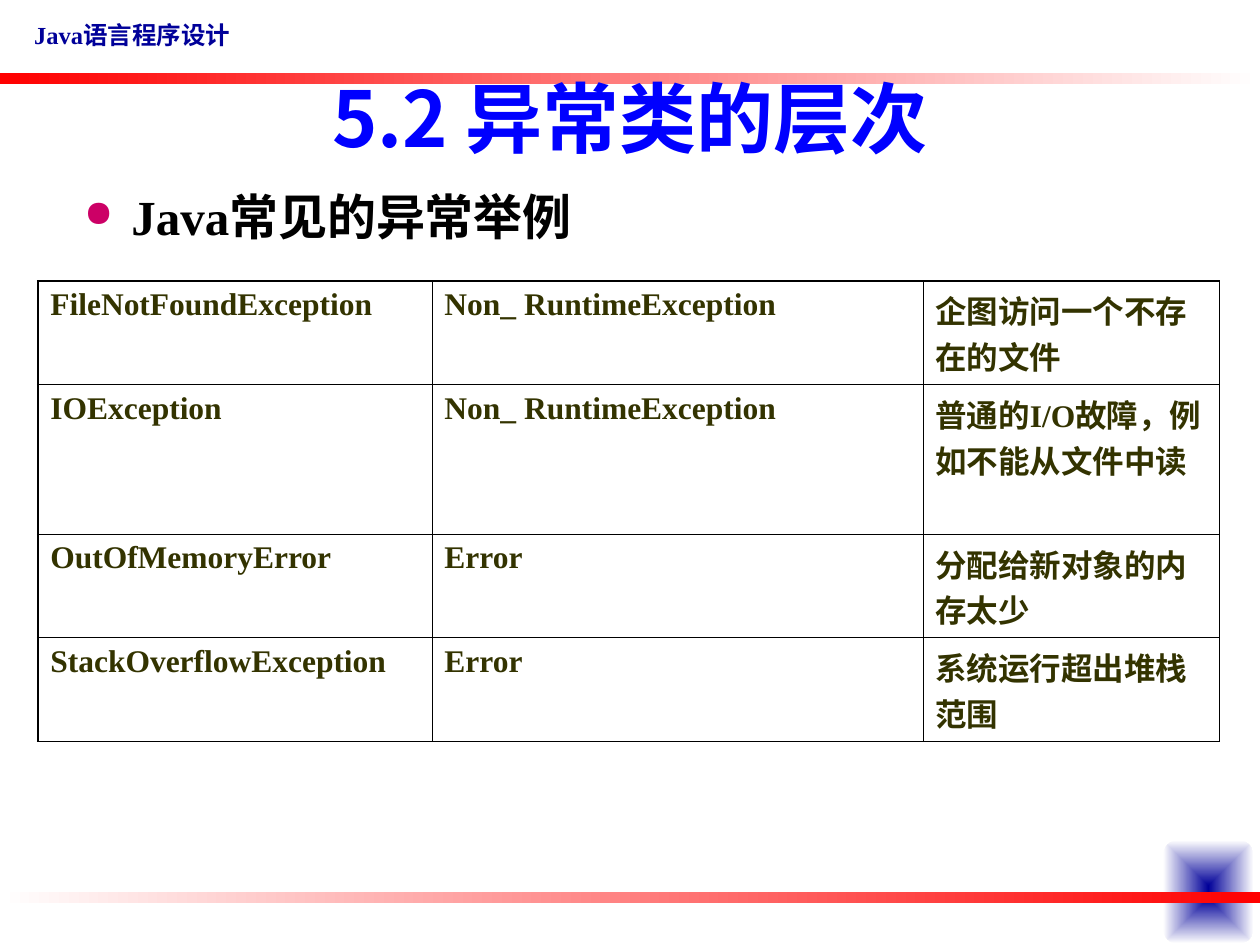
from lxml.etree import SubElement
from pptx import Presentation
from pptx.dml.color import RGBColor
from pptx.enum.shapes import MSO_SHAPE
from pptx.enum.text import MSO_ANCHOR, MSO_AUTO_SIZE, PP_ALIGN
from pptx.oxml import parse_xml
from pptx.oxml.ns import nsdecls, qn
from pptx.util import Pt

BLACK = RGBColor(0x00, 0x00, 0x00)
WHITE = RGBColor(0xFF, 0xFF, 0xFF)
NAVY = RGBColor(0x00, 0x00, 0x99)
BLUE = RGBColor(0x00, 0x00, 0xFF)
RED = RGBColor(0xFF, 0x00, 0x00)
PINK = RGBColor(0xCC, 0x00, 0x66)
OLIVE = RGBColor(0x33, 0x33, 0x00)

SERIF = "Times New Roman"
SANS = "Noto Sans CJK SC"

COLS = [225.2, 280.6, 169.5]
ROWS = [
    (59.2, "FileNotFoundException", "Non_ RuntimeException", "企图访问一个不存在的文件"),
    (85.5, "IOException", "Non_ RuntimeException", "普通的I/O故障，例如不能从文件中读"),
    (59.2, "OutOfMemoryError", "Error", "分配给新对象的内存太少"),
    (59.2, "StackOverflowException", "Error", "系统运行超出堆栈范围"),
]


def add_run(para, text, size, color, face=SERIF):
    run = para.add_run()
    run.text = text
    font = run.font
    font.size = Pt(size)
    font.bold = True
    font.name = face
    font.color.rgb = color
    SubElement(run._r.get_or_add_rPr(), qn("a:ea"), typeface=SANS)


def add_box(slide, box, wrap=True):
    frame = slide.shapes.add_textbox(*map(Pt, box)).text_frame
    frame.word_wrap = wrap
    return frame


def add_block(slide, kind, box):
    block = slide.shapes.add_shape(kind, *map(Pt, box))
    block.shadow.inherit = False
    block.line.fill.background()
    return block


def blend(block, start, end):
    fill = block.fill
    fill.gradient()
    fill.gradient_angle = 0
    for stop, color in zip(fill.gradient_stops, (start, end)):
        stop.color.rgb = color


def add_badge(slide, box):
    badge = add_block(slide, MSO_SHAPE.ROUNDED_RECTANGLE, box)
    blend(badge, NAVY, WHITE)
    grad = badge._element.spPr.find(qn("a:gradFill"))
    grad.replace(grad.find(qn("a:lin")), parse_xml(
        f'<a:path {nsdecls("a")} path="rect">'
        '<a:fillToRect l="50000" t="50000" r="50000" b="50000"/></a:path>'))


def add_header(slide, box):
    left, top, wide, high = box
    panel = add_block(slide, MSO_SHAPE.RECTANGLE, box)
    panel.fill.solid()
    panel.fill.fore_color.rgb = WHITE
    frame = add_box(slide, (left + 7.4, top + 2.9, 133.2, 24.5), False)
    frame.auto_size = MSO_AUTO_SIZE.SHAPE_TO_FIT_TEXT
    add_run(frame.paragraphs[0], "Java语言程序设计", 14, NAVY)


def add_bar(slide, box, start, end):
    blend(add_block(slide, MSO_SHAPE.RECTANGLE, box), start, end)


def add_title(slide, box):
    frame = add_box(slide, box)
    frame.vertical_anchor = MSO_ANCHOR.MIDDLE
    para = frame.paragraphs[0]
    para.alignment = PP_ALIGN.CENTER
    add_run(para, "5.2 异常类的层次", 44, BLUE, SANS)


def add_body(slide, box):
    para = add_box(slide, box).paragraphs[0]
    props = para._p.get_or_add_pPr()
    props.set("marL", str(Pt(27)))
    props.set("indent", str(-Pt(27)))
    SubElement(SubElement(props, qn("a:buClr")), qn("a:srgbClr"), val=str(PINK))
    SubElement(props, qn("a:buSzPct"), val="75000")
    SubElement(props, qn("a:buChar"), char="●")
    add_run(para, "Java常见的异常举例", 28, BLACK)


def add_edges(cell, row, col):
    outer = {"L": col == 0, "R": col == len(COLS) - 1,
             "T": row == 0, "B": row == len(ROWS) - 1}
    props = cell._tc.get_or_add_tcPr()
    for spot, (side, edge) in enumerate(outer.items()):
        width = Pt(1.08 if edge else 0.45)
        props.insert(spot, parse_xml(
            f'<a:ln{side} {nsdecls("a")} w="{width}"><a:solidFill>'
            f'<a:srgbClr val="{BLACK}"/></a:solidFill></a:ln{side}>'))


def add_grid(slide, box):
    table = slide.shapes.add_table(len(ROWS), len(COLS), *map(Pt, box)).table
    table.first_row = table.horz_banding = False
    for col, width in enumerate(COLS):
        table.columns[col].width = Pt(width)
    for row, (height, *texts) in enumerate(ROWS):
        table.rows[row].height = Pt(height)
        for col, text in enumerate(texts):
            cell = table.cell(row, col)
            cell.fill.background()
            add_edges(cell, row, col)
            add_run(cell.text_frame.paragraphs[0], text, 18, OLIVE)


def main():
    deck = Presentation()
    deck.slide_width, deck.slide_height = Pt(720), Pt(540)
    slide = deck.slides.add_slide(deck.slide_layouts[6])
    add_badge(slide, (664.6, 480.2, 51.8, 59))
    add_header(slide, (5, 5, 202.3, 38.2))
    add_bar(slide, (0, 41.6, 720, 6.2), RED, WHITE)
    add_bar(slide, (0, 509.8, 720, 6.2), WHITE, RED)
    add_title(slide, (36, 21.6, 648, 90))
    add_body(slide, (41, 103, 416.2, 324))
    add_grid(slide, (21.6, 160.6, sum(COLS), sum(row[0] for row in ROWS)))
    deck.save("out.pptx")


if __name__ == "__main__":
    main()
